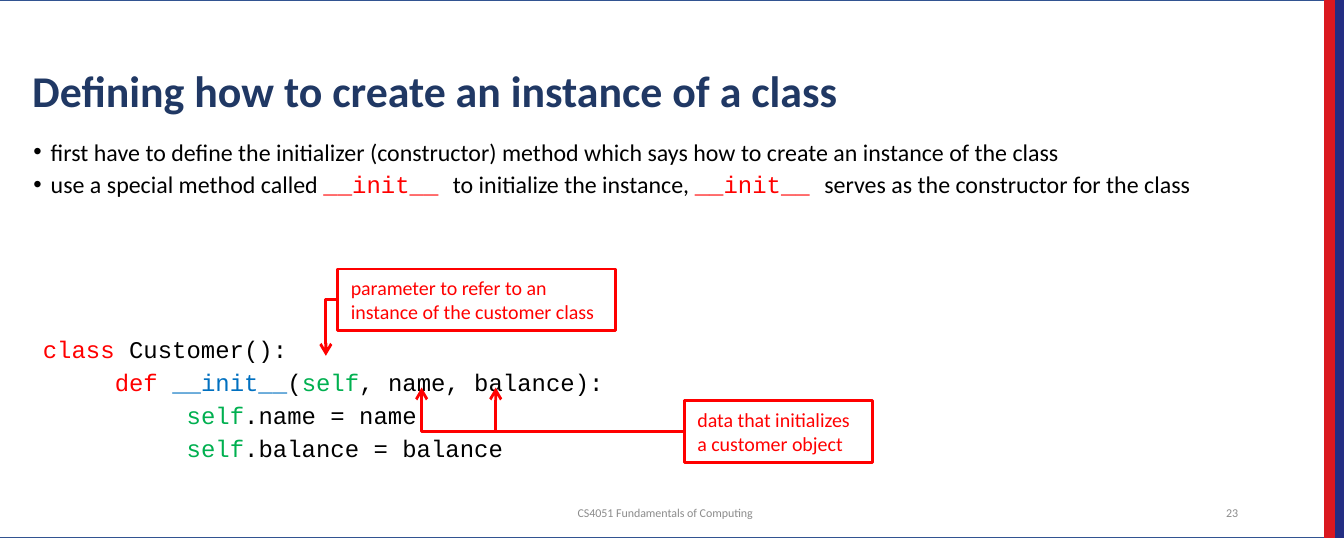
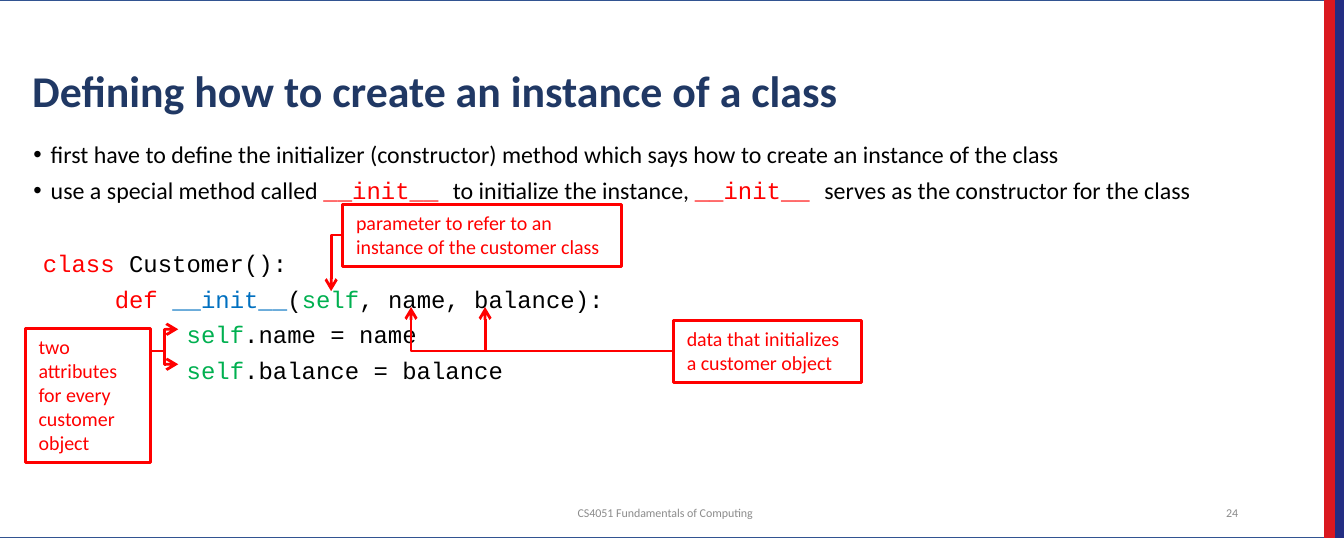
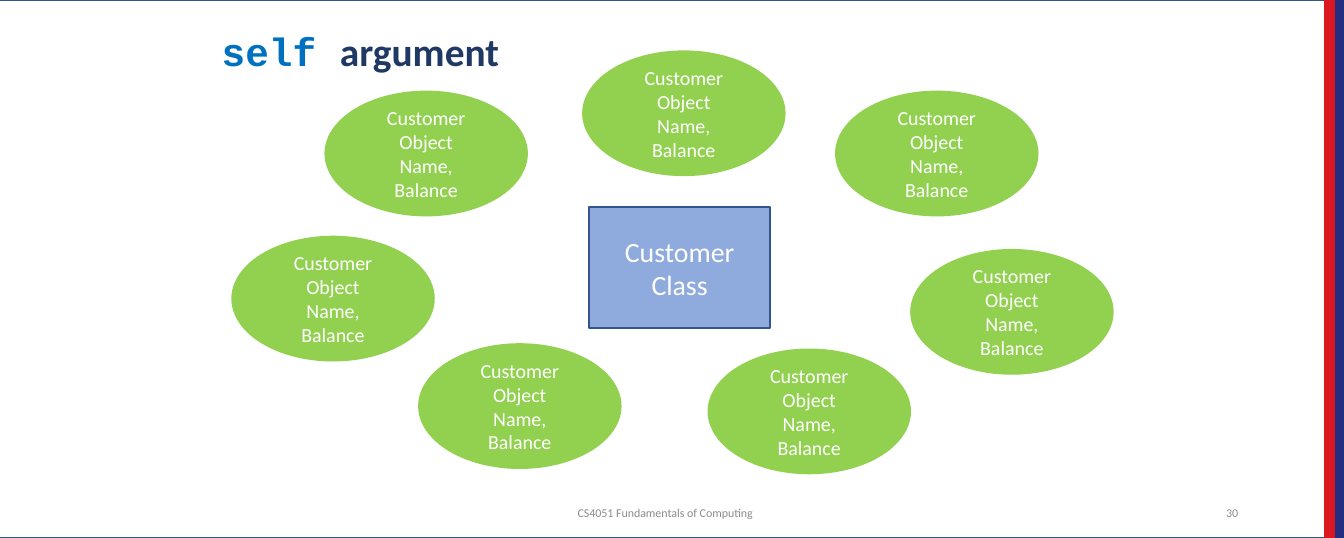
from dataclasses import dataclass
from typing import NamedTuple

from lxml import etree
from pptx import Presentation
from pptx import util as u
from pptx.dml.color import RGBColor
from pptx.enum import shapes, text
from pptx.oxml import ns
from pptx.shapes.autoshape import Shape
from pptx.slide import Slide
from pptx.text.text import TextFrame

SANS, MONO = "Calibri", "Courier New"
BLACK, WHITE, RED, GREEN, BLUE = "000000", "FFFFFF", "FF0000", "00B050", "0070C0"
NAVY, OUTLINE, GREY = "203864", "325491", "8C8C8C"
BAND_BLUE, BAND_RED = "232D82", "DA1820"
CLASS_BLUE, OBJECT_GREEN = "8FAADC", "92D050"

SLIDE_WIDTH, SLIDE_HEIGHT = 25.4, 10.16
BAND_WIDTH = 0.18
BODY_SIZE, CALLOUT_SIZE, OBJECT_SIZE = 12.8, 10.7, 10.7
BULLET_INDENT, CODE_INDENT, CODE_TAB = 0.33, 0.18, 1.36
PARAGRAPH_GAP = 5.3


class Box(NamedTuple):
    """Left, top, width and height in centimetres."""
    left: float
    top: float
    width: float
    height: float


class Span(NamedTuple):
    text: str
    colour: str = BLACK
    font: str = SANS


@dataclass(frozen=True)
class Line:
    """One body paragraph; level counts code tabs, None makes a bullet."""
    spans: tuple[Span, ...]
    level: int | None = None


@dataclass(frozen=True)
class Callout:
    """A note whose arrows leave at start and end at tips, counted from start."""
    text: str
    width: float
    height: float
    start: tuple[float, float]
    tips: tuple[tuple[float, float], ...]
    bend: int


TITLE_BOX = Box(0.36, 0.38, 23.29, 1.96)
BODY_BOX = Box(0.38, 2.57, 23.29, 6.65)
FOOTER_BOX = Box(6.6, 9.42, 11.94, 0.53)
NUMBER_BOX = Box(22.23, 9.42, 1.42, 0.53)

INIT = Span("__init__ ", RED, MONO)
BULLETS = (
    Line((Span("first have to define the initializer (constructor) method which "
               "says how to create an instance of the class"),)),
    Line((Span("use a special method called "), INIT,
          Span("to initialize the instance, "), INIT,
          Span("serves as the constructor for the class"))),
)
SELF = Span("self", GREEN, MONO)
CODE = (
    Line((Span("class", RED, MONO), Span(" Customer():", BLACK, MONO)), 0),
    Line((Span("def ", RED, MONO), Span("__init__", BLUE, MONO),
          Span("(", BLACK, MONO), SELF,
          Span(", name, balance):", BLACK, MONO)), 1),
    Line((SELF, Span(".name = name", BLACK, MONO)), 2),
    Line((SELF, Span(".balance = balance", BLACK, MONO)), 2),
)

PARAMETER = Callout("parameter to refer to an instance of the customer class",
                    5.26, 1.17, (0, 0.58), ((-0.22, 1.06),), 100)
DATA = Callout("data that initializes a customer object",
               3.56, 1.17, (0, 0.58), ((-3.56, -0.83), (-4.96, -0.83)), 100)
ATTRIBUTES = Callout("two attributes for every customer object",
                     2.36, 2.54, (2.36, 0.43), ((0.53, 0.25), (0.53, -0.41)), 50)

CLASS_BOX = Box(11.13, 3.91, 3.43, 2.29)
OBJECT_WIDTH, OBJECT_HEIGHT = 3.81, 2.34
OBJECT_CORNERS = ((15.8, 1.73), (17.22, 4.72), (6.15, 1.73), (4.39, 4.47),
                  (7.92, 6.5), (13.39, 6.6), (11.02, 0.97))


def rgb(colour: str) -> RGBColor:
    return RGBColor.from_string(colour)


def lengths(*values: float) -> list[u.Cm]:
    return [u.Cm(value) for value in values]


def format_text(frame: TextFrame, size: float, colour: str,
                align: text.PP_ALIGN) -> None:
    for paragraph in frame.paragraphs:
        paragraph.alignment = align
        for run in paragraph.runs:
            run.font.size = u.Pt(size)
            run.font.name = SANS
            run.font.color.rgb = rgb(colour)


def add_spans(paragraph, spans: tuple[Span, ...], size: float,
              bold: bool = False) -> None:
    for span in spans:
        run = paragraph.add_run()
        run.text = span.text
        run.font.size = u.Pt(size)
        run.font.name = span.font
        run.font.bold = bold
        run.font.color.rgb = rgb(span.colour)


def add_frame(slide: Slide, box: Box, anchor: text.MSO_ANCHOR) -> TextFrame:
    frame = slide.shapes.add_textbox(*lengths(*box)).text_frame
    frame.word_wrap = True
    frame.vertical_anchor = anchor
    return frame


def add_block(slide: Slide, box: Box, fill: str | None, outline: str,
              kind: shapes.MSO_SHAPE = shapes.MSO_SHAPE.RECTANGLE,
              weight: float = 1) -> Shape:
    block = slide.shapes.add_shape(kind, *lengths(*box))
    block.shadow.inherit = False
    if fill:
        block.fill.solid()
        block.fill.fore_color.rgb = rgb(fill)
    else:
        block.fill.background()
    block.line.color.rgb = rgb(outline)
    block.line.width = u.Pt(weight)
    return block


def add_footer(slide: Slide, box: Box, words: str, align: text.PP_ALIGN) -> None:
    frame = add_frame(slide, box, text.MSO_ANCHOR.MIDDLE)
    frame.text = words
    format_text(frame, 6.4, GREY, align)


def start_slide(deck, number: int, title: tuple[Span, ...], title_size: float,
                title_box: Box = TITLE_BOX) -> Slide:
    """Add a blank slide with the shared panel, bands, title and footers."""
    slide = deck.slides.add_slide(deck.slide_layouts[6])
    blue_left = SLIDE_WIDTH - BAND_WIDTH
    red_left = blue_left - BAND_WIDTH
    add_block(slide, Box(-BAND_WIDTH, 0, SLIDE_WIDTH, SLIDE_HEIGHT), WHITE, OUTLINE)
    for left, colour in ((blue_left, BAND_BLUE), (red_left, BAND_RED)):
        add_block(slide, Box(left, 0, BAND_WIDTH, SLIDE_HEIGHT), colour, colour)
    heading = add_frame(slide, title_box, text.MSO_ANCHOR.BOTTOM).paragraphs[0]
    heading.line_spacing = 0.9
    add_spans(heading, title, title_size, bold=True)
    add_footer(slide, FOOTER_BOX, "CS4051 Fundamentals of Computing",
               text.PP_ALIGN.CENTER)
    add_footer(slide, NUMBER_BOX, str(number), text.PP_ALIGN.RIGHT)
    return slide


def add_body(slide: Slide, spacing: float, code_gap: float) -> None:
    """Write bullets and code, with code_gap points above the code."""
    frame = add_frame(slide, BODY_BOX, text.MSO_ANCHOR.TOP)
    for index, line in enumerate(BULLETS + CODE):
        paragraph = frame.add_paragraph() if index else frame.paragraphs[0]
        paragraph.alignment = text.PP_ALIGN.JUSTIFY
        paragraph.line_spacing = spacing
        paragraph.space_before = u.Pt(code_gap if line is CODE[0] else PARAGRAPH_GAP)
        properties = paragraph._p.get_or_add_pPr()
        if line.level is None:
            properties.set("marL", str(u.Cm(BULLET_INDENT)))
            properties.set("indent", str(-u.Cm(BULLET_INDENT)))
            etree.SubElement(properties, ns.qn("a:buFont"), typeface="Arial")
            etree.SubElement(properties, ns.qn("a:buChar"), char="•")
        else:
            properties.set("marL", str(u.Cm(CODE_INDENT + line.level * CODE_TAB)))
        add_spans(paragraph, line.spans, BODY_SIZE)


def add_bent_arrow(slide: Slide, start: tuple[float, float],
                   tip: tuple[float, float], bend: int) -> None:
    """Draw an elbow arrow that turns after bend percent of its width."""
    arrow = slide.shapes.add_connector(shapes.MSO_CONNECTOR.ELBOW,
                                       *lengths(*start, *tip))
    arrow.line.color.rgb = rgb(RED)
    arrow.line.width = u.Pt(1.5)
    properties = arrow.element.spPr
    etree.SubElement(properties.get_or_add_ln(), ns.qn("a:tailEnd"), type="arrow")
    etree.SubElement(properties, ns.qn("a:effectLst"))
    guides = properties.find(".//" + ns.qn("a:avLst"))
    etree.SubElement(guides, ns.qn("a:gd"), name="adj1", fmla=f"val {bend * 1000}")


def add_callout(slide: Slide, callout: Callout, left: float, top: float) -> None:
    note = add_block(slide, Box(left, top, callout.width, callout.height),
                     None, RED, weight=1.5)
    frame = note.text_frame
    frame.word_wrap = True
    frame.vertical_anchor = text.MSO_ANCHOR.TOP
    frame.text = callout.text
    format_text(frame, CALLOUT_SIZE, RED, text.PP_ALIGN.LEFT)
    start = (left + callout.start[0], top + callout.start[1])
    for across, down in callout.tips:
        add_bent_arrow(slide, start, (start[0] + across, start[1] + down),
                       callout.bend)


def add_label(block: Shape, words: str, size: float) -> None:
    frame = block.text_frame
    frame.word_wrap = True
    frame.vertical_anchor = text.MSO_ANCHOR.MIDDLE
    frame.text = words
    format_text(frame, size, WHITE, text.PP_ALIGN.CENTER)


def add_initializer_slide(deck, number: int, spacing: float, code_gap: float,
                          callouts: tuple[tuple[Callout, float, float], ...]) -> None:
    title = (Span("Defining how to create an instance of a class", NAVY),)
    slide = start_slide(deck, number, title, 23.5)
    add_body(slide, spacing, code_gap)
    for callout, left, top in callouts:
        add_callout(slide, callout, left, top)


def add_self_slide(deck, number: int) -> None:
    title = (Span("self ", BLUE, MONO), Span("argument", NAVY))
    slide = start_slide(deck, number, title, 21.1, Box(3.94, 0.38, 16.56, 1.17))
    add_label(add_block(slide, CLASS_BOX, CLASS_BLUE, OUTLINE), "Customer Class", 14.9)
    for left, top in OBJECT_CORNERS:
        customer = add_block(slide, Box(left, top, OBJECT_WIDTH, OBJECT_HEIGHT),
                             OBJECT_GREEN, OBJECT_GREEN, shapes.MSO_SHAPE.OVAL)
        add_label(customer, "Customer Object\nName, Balance", OBJECT_SIZE)


def main() -> None:
    deck = Presentation()
    deck.slide_width, deck.slide_height = lengths(SLIDE_WIDTH, SLIDE_HEIGHT)
    add_initializer_slide(deck, 23, 0.8, 76,
                          ((PARAMETER, 6.38, 5.08), (DATA, 12.93, 7.57)))
    add_initializer_slide(deck, 24, 0.9, 25.4,
                          ((ATTRIBUTES, 0.48, 6.2), (PARAMETER, 6.48, 3.86),
                           (DATA, 12.73, 6.05)))
    add_self_slide(deck, 30)
    deck.save("out.pptx")


if __name__ == "__main__":
    main()
